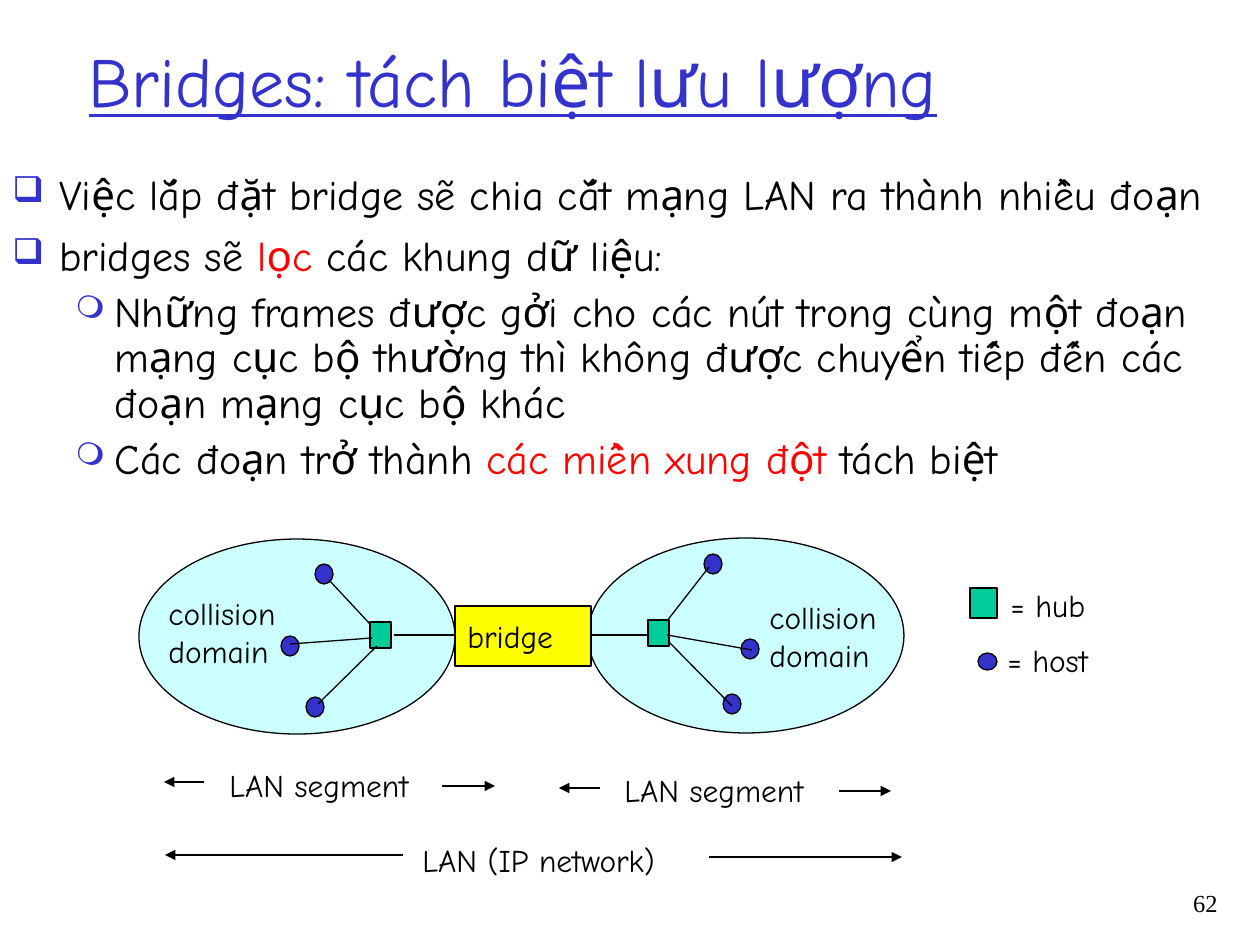
"""Build a slide on how bridges isolate traffic between LAN segments."""
from lxml.etree import SubElement
from pptx import Presentation
from pptx.dml.color import RGBColor
from pptx.enum.shapes import MSO_CONNECTOR as LINK, MSO_SHAPE as SHAPE
from pptx.enum.text import MSO_ANCHOR as ANCHOR, PP_ALIGN as ALIGN
from pptx.oxml.ns import qn
from pptx.util import Emu, Pt

COLORS = {"ink": "000000", "blue": "3333CC", "red": "FF0000",
          "domain": "CCFFFF", "bridge": "FFFF00", "hub": "00CC99"}
FONT = "Comic Neue"
TITLE = "Bridges: tách biệt lưu lượng"
BULLETS = [
    (0, 0, [("Việc lắp đặt bridge sẽ chia cắt mạng LAN ra thành nhiều đoạn", "ink")]),
    (0, 9, [("bridges sẽ ", "ink"), ("lọc", "red"), (" các khung dữ liệu:", "ink")]),
    (1, 6, [("Những frames được gởi cho các nút trong cùng một đoạn mạng cục bộ "
             "thường thì không được chuyển tiếp đến các đoạn mạng cục bộ khác", "ink")]),
    (1, 6, [("Các đoạn trở thành ", "ink"), ("các miền xung đột ", "red"),
            ("tách biệt", "ink")]),
]
LEVELS = [{"char": "❑", "size": 85, "left": 47, "hang": 47},
          {"char": "❍", "size": 75, "left": 102, "hang": 39}]

DOMAINS = [(139, 539), (588, 538)]
BRIDGE = (455, 606, 136, 60)
HUBS = [(370, 622), (648, 620)]
HOSTS = [(315, 564), (281, 636), (306, 697), (704, 554), (741, 639), (723, 694)]
LEGEND = [("rect", "hub", (970, 588, 27, 30)), ("oval", "blue", (978, 653, 19, 17))]
NODES = ([("oval", "domain", (*spot, 316, 195)) for spot in DOMAINS]
         + [("rect", "bridge", BRIDGE)]
         + [("rect", "hub", (*spot, 21, 26)) for spot in HUBS]
         + [("oval", "blue", (*spot, 18, 20)) for spot in HOSTS] + LEGEND)
CABLES = [(394, 635, 454, 635), (592, 635, 648, 635), (370, 624, 329, 580),
          (372, 638, 290, 644), (377, 646, 318, 704), (667, 621, 709, 567),
          (667, 635, 752, 650), (668, 641, 732, 706)]
ARROWS = [(442, 786, 495, 786), (204, 782, 164, 782), (839, 791, 891, 791),
          (600, 788, 559, 788), (403, 855, 165, 855), (709, 857, 902, 857)]
LABELS = [(["collision", "domain"], (757, 592, 150, 88)),
          (["collision", "domain"], (156, 588, 150, 88)),
          (["= hub"], (998, 580, 103, 50)), (["= host"], (995, 635, 116, 50)),
          (["LAN segment"], (217, 760, 223, 50)),
          (["LAN segment"], (612, 765, 223, 50)),
          (["LAN (IP network)"], (410, 835, 286, 50))]


def px(count):
    return Emu(round(count * 914400 / 126))


def color(name):
    return RGBColor.from_string(COLORS[name])


def add_span(para, text, ink="ink", **formats):
    span = para.add_run()
    span.text = text
    for key, value in {"name": FONT, "size": Pt(18), **formats}.items():
        setattr(span.font, key, value)
    span.font.color.rgb = color(ink)


def add_box(page, place):
    box = page.shapes.add_textbox(*map(px, place))
    box.text_frame.word_wrap = True
    return box.text_frame


def next_para(frame, index):
    return frame.add_paragraph() if index else frame.paragraphs[0]


def add_bullet(para, level):
    style = LEVELS[level]
    props = para._p.get_or_add_pPr()
    props.set("marL", str(px(style["left"])))
    props.set("indent", str(-px(style["hang"])))
    tint = SubElement(props, qn("a:buClr"))
    SubElement(tint, qn("a:srgbClr"), val=COLORS["blue"])
    SubElement(props, qn("a:buSzPct"), val=str(style["size"] * 1000))
    SubElement(props, qn("a:buChar"), char=style["char"])
    para.level = level


def add_node(page, kind, fill, place):
    outline = {"rect": SHAPE.RECTANGLE, "oval": SHAPE.OVAL}[kind]
    node = page.shapes.add_shape(outline, *map(px, place))
    node.shadow.inherit = False
    node.fill.solid()
    node.fill.fore_color.rgb = color(fill)
    node.line.color.rgb = color("ink")
    node.line.width = Pt(0.75)
    if fill == "bridge":
        frame = node.text_frame
        frame.vertical_anchor = ANCHOR.MIDDLE
        frame.paragraphs[0].alignment = ALIGN.LEFT
        add_span(frame.paragraphs[0], "bridge")


def add_line(page, ends, arrow=False):
    line = page.shapes.add_connector(LINK.STRAIGHT, *map(px, ends))
    line.line.color.rgb = color("ink")
    line.line.width = Pt(0.75)
    if arrow:
        SubElement(line.line._get_or_add_ln(), qn("a:tailEnd"), type="triangle")
    SubElement(line._element.spPr, qn("a:effectLst"))


def add_title(page):
    title = page.shapes.title
    title.left, title.top, title.width, title.height = map(px, (76, 0, 1071, 158))
    title.text_frame.vertical_anchor = ANCHOR.MIDDLE
    para = title.text_frame.paragraphs[0]
    para.alignment = ALIGN.LEFT
    add_span(para, TITLE, "blue", size=Pt(40), underline=True)


def add_body(page):
    frame = add_box(page, (0, 168, 1260, 324))
    for index, (level, gap, spans) in enumerate(BULLETS):
        para = next_para(frame, index)
        para.line_spacing = 0.9
        para.space_before = Pt(gap)
        add_bullet(para, level)
        for text, ink in spans:
            add_span(para, text, ink, size=Pt(24))


def main():
    deck = Presentation()
    deck.slide_width, deck.slide_height = px(1260), px(945)
    page = deck.slides.add_slide(deck.slide_layouts[5])
    add_title(page)
    add_body(page)
    for node in NODES:
        add_node(page, *node)
    for ends in CABLES:
        add_line(page, ends)
    for ends in ARROWS:
        add_line(page, ends, arrow=True)
    for lines, place in LABELS:
        frame = add_box(page, place)
        for index, text in enumerate(lines):
            add_span(next_para(frame, index), text)
    number = add_box(page, (1144, 882, 86, 63)).paragraphs[0]
    number.alignment = ALIGN.RIGHT
    add_span(number, "62", name="Times New Roman", size=Pt(14))
    deck.save("out.pptx")


if __name__ == "__main__":
    main()
